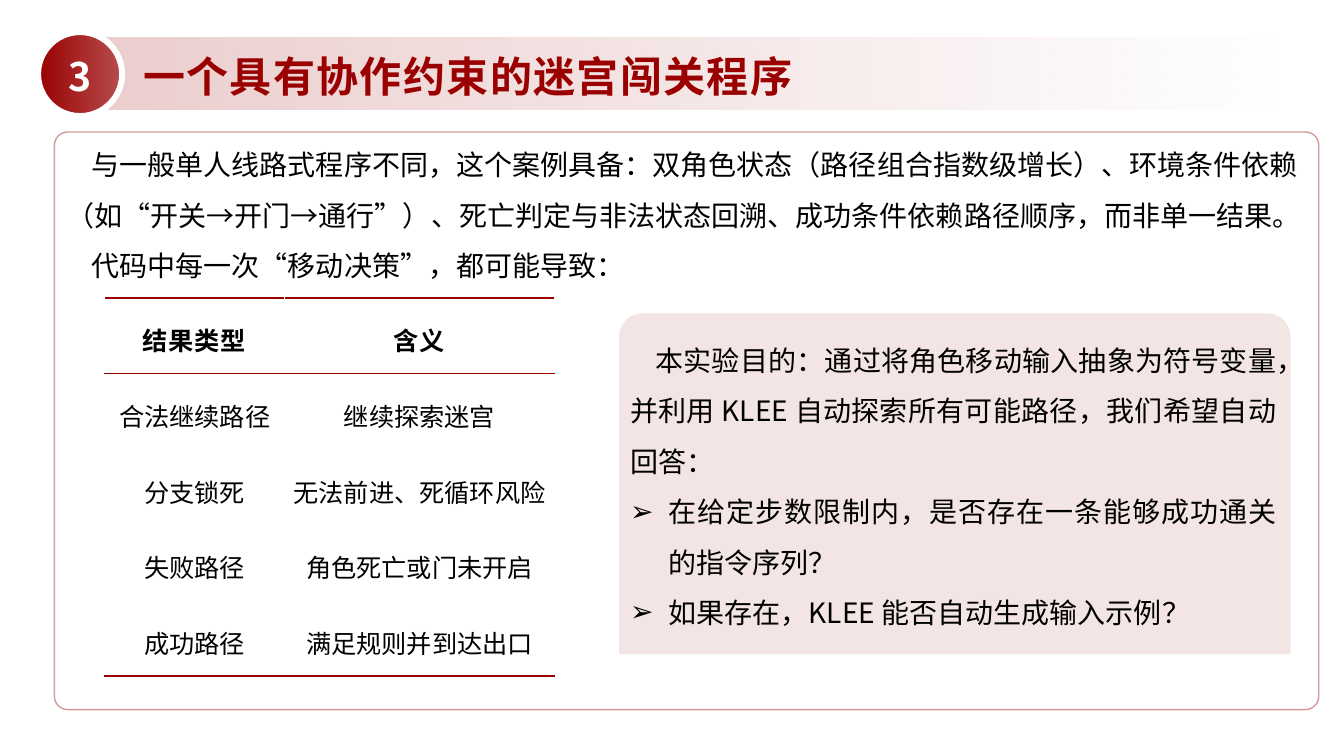
from lxml import etree
from pptx import Presentation
from pptx import util as u
from pptx.dml.color import RGBColor
from pptx.enum import lang, shapes, text
from pptx.oxml.ns import qn

PX = 9144
RED, BLACK, WHITE = "9A0000", "000000", "FFFFFF"
SANS, SERIF = "Noto Sans CJK SC", "Times New Roman"
LEFT, MID, JUST = text.PP_ALIGN.LEFT, text.PP_ALIGN.CENTER, text.PP_ALIGN.JUSTIFY
FORM = shapes.MSO_SHAPE


def px(n):
    return u.Emu(n * PX)


def rgb(code):
    return RGBColor.from_string(code)


def fade(root, *rates):
    for node, rate in zip(root.iter(qn("a:srgbClr")), rates):
        etree.SubElement(node, qn("a:alpha"), val=str(rate * 1000))


def write(frame, words, size=20, color=BLACK, font=SANS, bold=False, align=LEFT,
          lines=1.5, track=0, first=0, mark=None):
    fresh = len(frame.paragraphs) == 1 and not frame.text
    para = frame.paragraphs[0] if fresh else frame.add_paragraph()
    para.alignment, para.line_spacing = align, lines
    para.space_before = para.space_after = u.Pt(0)
    props = para._p.get_or_add_pPr()
    props.set("marL", str(px(38) if mark else 0))
    props.set("indent", str(px(-38) if mark else px(first)))
    if mark:
        etree.SubElement(props, qn("a:buChar"), char=mark)
    else:
        etree.SubElement(props, qn("a:buNone"))
    run = para.add_run()
    run.text = words
    face = run.font
    face.size, face.bold, face.name = u.Pt(size), bold, font
    face.color.rgb = rgb(color)
    face.language_id = lang.MSO_LANGUAGE_ID.SIMPLIFIED_CHINESE
    node = run._r.get_or_add_rPr()
    etree.SubElement(node, qn("a:ea"), typeface=SANS)
    if track:
        node.set("spc", str(track))


class Page:
    """Hold the slide and its house style, and draw each kind of element."""

    def __init__(self, deck):
        self.slide = deck.slides.add_slide(deck.slide_layouts[1])
        self.shapes = self.slide.shapes

    def shape(self, form, box, fill=None, alpha=100, grade=None, line=None,
              width=1, clear=100, adjust=()):
        item = self.shapes.add_shape(form, *map(px, box))
        item.shadow.inherit = False
        for i, rate in enumerate(adjust):
            item.adjustments[i] = rate
        if grade:
            item.fill.gradient()
            item.fill.gradient_angle = 180
            for stop in item.fill.gradient_stops:
                stop.color.rgb = rgb(fill)
            fade(item.fill._xPr.find(qn("a:gradFill")), *grade)
        elif fill:
            item.fill.solid()
            item.fill.fore_color.rgb = rgb(fill)
            fade(item.fill._xPr.find(qn("a:solidFill")), alpha)
        else:
            item.fill.background()
        if line:
            item.line.color.rgb = rgb(line)
            item.line.width = u.Pt(width)
            fade(item.line._ln, clear)
        else:
            item.line.fill.background()

    def setup(self, item, anchor):
        frame = item.text_frame
        frame.word_wrap = True
        frame.auto_size = text.MSO_AUTO_SIZE.NONE
        frame.vertical_anchor = anchor
        return frame

    def label(self, box):
        return self.setup(self.shapes.add_textbox(*map(px, box)), text.MSO_ANCHOR.TOP)

    def holder(self, slot, box, anchor=text.MSO_ANCHOR.TOP):
        item = self.slide.placeholders[slot]
        item.left, item.top, item.width, item.height = map(px, box)
        self.shapes._spTree.append(item._element)
        return self.setup(item, anchor)

    def edge(self, cell, side, width):
        ln = etree.SubElement(cell._tc.get_or_add_tcPr(), qn("a:ln" + side),
                              w=str(u.Pt(width)))
        fill = etree.SubElement(ln, qn("a:solidFill"))
        etree.SubElement(fill, qn("a:srgbClr"), val=RED)

    def table(self, left, top, cols, high, rows, rules):
        grid = self.shapes.add_table(len(rows), len(cols), px(left), px(top),
                                     px(sum(cols)), px(high * len(rows))).table
        grid.horz_banding = grid.first_row = False
        for col, wide in zip(grid.columns, cols):
            col.width = px(wide)
        for r, row in enumerate(rows):
            grid.rows[r].height = px(high)
            for c, words in enumerate(row):
                cell = grid.cell(r, c)
                for side, width in rules.get(r, {}).items():
                    self.edge(cell, side, width)
                cell.fill.background()
                cell.vertical_anchor = text.MSO_ANCHOR.MIDDLE
                cell.margin_left = cell.margin_right = px(3)
                cell.margin_top = cell.margin_bottom = px(1)
                write(cell.text_frame, words, size=18, font=SERIF, bold=r == 0,
                      align=MID, lines=1.2, track=60 if r == 0 else 0)


def main():
    deck = Presentation()
    deck.slide_width, deck.slide_height = px(1333), px(750)
    page = Page(deck)

    page.shape(FORM.RECTANGLE, (92, 37, 1206, 72), RED, grade=(0, 20))
    badge = (38, 32, 83, 83)
    page.shape(FORM.OVAL, badge, WHITE, line=WHITE, width=4.5)
    page.shape(FORM.OVAL, badge, RED, grade=(70, 100), line=WHITE, width=4)
    write(page.label((43, 38, 72, 66)), "3", size=28, color=WHITE, bold=True,
          align=MID, lines=1.2)

    page.shape(FORM.ROUNDED_RECTANGLE, (54, 131, 1254, 573), line=RED, clear=40,
               adjust=(0.023,))
    intro = page.label((56, 125, 1252, 572))
    for words in (
        "与一般单人线路式程序不同，这个案例具备：双角色状态（路径组合指数级增长）、环境条件依赖"
        "（如“开关→开门→通行”）、死亡判定与非法状态回溯、成功条件依赖路径顺序，而非单一结果。",
        "代码中每一次“移动决策”，都可能导致：",
    ):
        write(intro, words, first=25)

    title = page.holder(0, (132, 42, 1058, 72), text.MSO_ANCHOR.MIDDLE)
    write(title, "一个具有协作约束的迷宫闯关程序", size=30, color=RED, bold=True,
          lines=0.9, track=100)

    page.table(104, 296, (178, 268), 75, (
        ("结果类型", "含义"),
        ("合法继续路径", "继续探索迷宫"),
        ("分支锁死", "无法前进、死循环风险"),
        ("失败路径", "角色死亡或门未开启"),
        ("成功路径", "满足规则并到达出口"),
    ), {0: {"T": 1.5, "B": 0.75}, 1: {"T": 0.75}, 4: {"B": 1.5}})

    page.shape(FORM.ROUND_2_SAME_RECTANGLE, (614, 311, 666, 338), RED, alpha=10,
               adjust=(0.068, 0))
    goals = page.holder(1, (615, 319, 661, 330))
    write(goals, "本实验目的：通过将角色移动输入抽象为符号变量，并利用 KLEE "
          "自动探索所有可能路径，我们希望自动回答：", align=JUST, first=25)
    for words in ("在给定步数限制内，是否存在一条能够成功通关的指令序列？",
                  "如果存在，KLEE 能否自动生成输入示例？"):
        write(goals, words, align=JUST, mark="➢")

    deck.save("out.pptx")


if __name__ == "__main__":
    main()
